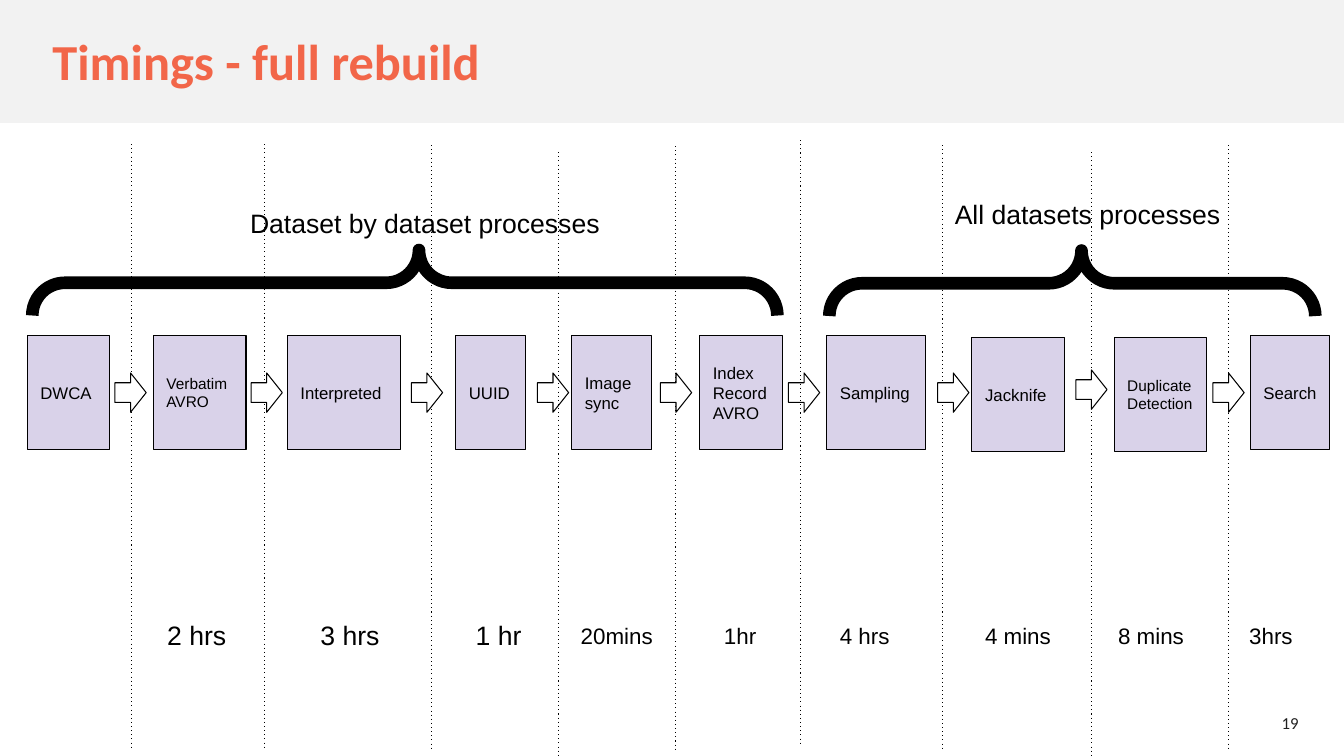
from dataclasses import dataclass

from lxml import etree
from pptx import Presentation
from pptx.dml.color import RGBColor
from pptx.enum.shapes import MSO_CONNECTOR, MSO_SHAPE
from pptx.enum.text import MSO_ANCHOR, MSO_AUTO_SIZE, PP_ALIGN
from pptx.oxml.ns import qn
from pptx.util import Emu, Pt

PX = 9144  # 100 px to the inch
RECTANGLE, RIGHT_ARROW, RIGHT_BRACE = (
    MSO_SHAPE.RECTANGLE, MSO_SHAPE.RIGHT_ARROW, MSO_SHAPE.RIGHT_BRACE)
STRAIGHT = MSO_CONNECTOR.STRAIGHT
TOP, MIDDLE = MSO_ANCHOR.TOP, MSO_ANCHOR.MIDDLE
LEFT, RIGHT = PP_ALIGN.LEFT, PP_ALIGN.RIGHT
NO_AUTOFIT = MSO_AUTO_SIZE.NONE

BLACK = RGBColor(0x00, 0x00, 0x00)
WHITE = RGBColor(0xFF, 0xFF, 0xFF)
BAND_GREY = RGBColor(0xF2, 0xF2, 0xF2)
STAGE_LILAC = RGBColor(0xD9, 0xD2, 0xE9)
TITLE_ORANGE = RGBColor(0xF2, 0x66, 0x49)
NUMBER_GREY = RGBColor(0x21, 0x21, 0x21)

DIVIDER_LENGTH = 599
STAGE_HEIGHT = 113
ARROW_WIDTH, ARROW_HEIGHT = 31, 39
BRACE_DEPTH = 65
DURATION_TOP = 604


@dataclass(frozen=True)
class Stage:
    label: str
    left: int
    width: int
    top: int = 333
    size: int = 12


@dataclass(frozen=True)
class Transition:
    divider_x: int
    divider_top: int
    arrow_left: int
    arrow_top: int = 370
    divider_in_front: bool = False


@dataclass(frozen=True)
class Duration:
    text: str
    left: int
    width: int = 148
    height: int = 73
    size: int = 16
    inset: int = 13


@dataclass(frozen=True)
class Scope:
    label: str
    label_left: int
    label_top: int
    brace_left: int
    brace_top: int
    brace_width: int


STAGES = [
    Stage("DWCA", 27, 82),
    Stage("Verbatim\nAVRO", 152, 92, size=11),
    Stage("Interpreted", 285, 112),
    Stage("UUID", 452, 69),
    Stage("Image\nsync", 567, 79),
    Stage("Index\nRecord\nAVRO", 694, 82),
    Stage("Sampling", 820, 98),
    Stage("Jacknife", 964, 92, top=335),
    Stage("Duplicate\nDetection", 1105, 92, top=335, size=11),
    Stage("Search", 1240, 79),
]
TRANSITIONS = [
    Transition(130, 143, 114),
    Transition(262, 143, 249),
    Transition(428, 144, 408),
    Transition(554, 151, 533, divider_in_front=True),
    Transition(670, 145, 655),
    Transition(794, 139, 782, divider_in_front=True),
    Transition(935, 144, 930),
    Transition(1083, 151, 1067, arrow_top=367),
    Transition(1218, 144, 1203),
]
DURATIONS = [
    Duration("2 hrs", 156, 111, 55, 19, 10),
    Duration("3 hrs", 308, 111, 55, 19, 10),
    Duration("1 hr", 462, 111, 55, 19, 10),
    Duration("20mins", 563),
    Duration("1hr", 705),
    Duration("4 hrs", 820),
    Duration("4 mins", 964),
    Duration("8 mins", 1096),
    Duration("3hrs", 1226),
]
SCOPES = [
    Scope("Dataset by dataset processes", 235, 192, 32, 248, 739),
    Scope("All datasets processes", 934, 183, 823, 248, 482),
]


def box(left: int, top: int, width: int, height: int) -> tuple[Emu, ...]:
    return tuple(Emu(length * PX) for length in (left, top, width, height))


def write(shape, text: str, *, size: int, font: str = "Arial",
          color: RGBColor = BLACK, bold: bool = False, align=LEFT,
          anchor=TOP, inset: int = 13) -> None:
    frame = shape.text_frame
    frame.word_wrap = True
    frame.auto_size = NO_AUTOFIT
    frame.vertical_anchor = anchor
    frame.margin_left = frame.margin_right = Emu(inset * PX)
    frame.margin_top = frame.margin_bottom = Emu(inset * PX)
    frame.text = text
    for paragraph in frame.paragraphs:
        paragraph.alignment = align
        paragraph.font.name = font
        paragraph.font.size = Pt(size)
        paragraph.font.bold = bold
        paragraph.font.color.rgb = color


def add_figure(slide, kind, bounds: tuple[Emu, ...],
               fill: RGBColor | None = None, line_width: float = 0.75):
    figure = slide.shapes.add_shape(kind, *bounds)
    figure.shadow.inherit = False
    if fill is None:
        figure.fill.background()
    else:
        figure.fill.solid()
        figure.fill.fore_color.rgb = fill
    if line_width:
        figure.line.color.rgb = BLACK
        figure.line.width = Pt(line_width)
    else:
        figure.line.fill.background()
    return figure


def add_divider(slide, step: Transition) -> None:
    x, top, _, length = box(step.divider_x, step.divider_top, 0, DIVIDER_LENGTH)
    divider = slide.shapes.add_connector(STRAIGHT, x, top, x, top + length)
    divider.line.color.rgb = BLACK
    divider.line.width = Pt(0.75)
    properties = divider.element.spPr
    etree.SubElement(properties.find(qn("a:ln")), qn("a:prstDash"), val="dot")
    etree.SubElement(properties, qn("a:effectLst"))


def add_transition(slide, step: Transition) -> None:
    if not step.divider_in_front:
        add_divider(slide, step)
    add_figure(slide, RIGHT_ARROW,
               box(step.arrow_left, step.arrow_top, ARROW_WIDTH, ARROW_HEIGHT), WHITE)
    if step.divider_in_front:
        add_divider(slide, step)


def add_scope(slide, scope: Scope) -> None:
    # The brace is upright before it is turned about its centre
    shift = (scope.brace_width - BRACE_DEPTH) // 2
    brace = add_figure(slide, RIGHT_BRACE,
                       box(scope.brace_left + shift, scope.brace_top - shift,
                           BRACE_DEPTH, scope.brace_width), line_width=9)
    brace.rotation = 270
    brace.adjustments[0], brace.adjustments[1] = 0.5, 0.519
    label = slide.shapes.add_textbox(*box(scope.label_left, scope.label_top, 613, 71))
    write(label, scope.label, size=19)


def main() -> None:
    prs = Presentation()
    prs.slide_width, prs.slide_height = Emu(1333 * PX), Emu(750 * PX)
    slide = prs.slides.add_slide(prs.slide_layouts[5])

    # Title on its band
    add_figure(slide, RECTANGLE, box(-2, 0, 1337, 122), BAND_GREY, line_width=0)
    title = slide.shapes.title
    title.left, title.top, title.width, title.height = box(52, 19, 940, 82)
    write(title, "Timings - full rebuild", size=36, font="Calibri",
          color=TITLE_ORANGE, bold=True, anchor=MIDDLE, inset=0)
    title.element.getparent().append(title.element)

    # Pipeline
    for step in TRANSITIONS:
        add_transition(slide, step)
    for stage in STAGES:
        stage_box = add_figure(slide, RECTANGLE,
                               box(stage.left, stage.top, stage.width, STAGE_HEIGHT),
                               STAGE_LILAC)
        write(stage_box, stage.label, size=stage.size, anchor=MIDDLE)
    for scope in SCOPES:
        add_scope(slide, scope)

    # Time taken by each stage
    for duration in DURATIONS:
        time_box = slide.shapes.add_textbox(
            *box(duration.left, DURATION_TOP, duration.width, duration.height))
        write(time_box, duration.text, size=duration.size, inset=duration.inset)

    # Slide number
    number = slide.shapes.add_textbox(*box(1269, 710, 19, 15))
    write(number, "19", size=12, font="Calibri", color=NUMBER_GREY,
          align=RIGHT, anchor=MIDDLE, inset=0)

    prs.save("out.pptx")


if __name__ == "__main__":
    main()
